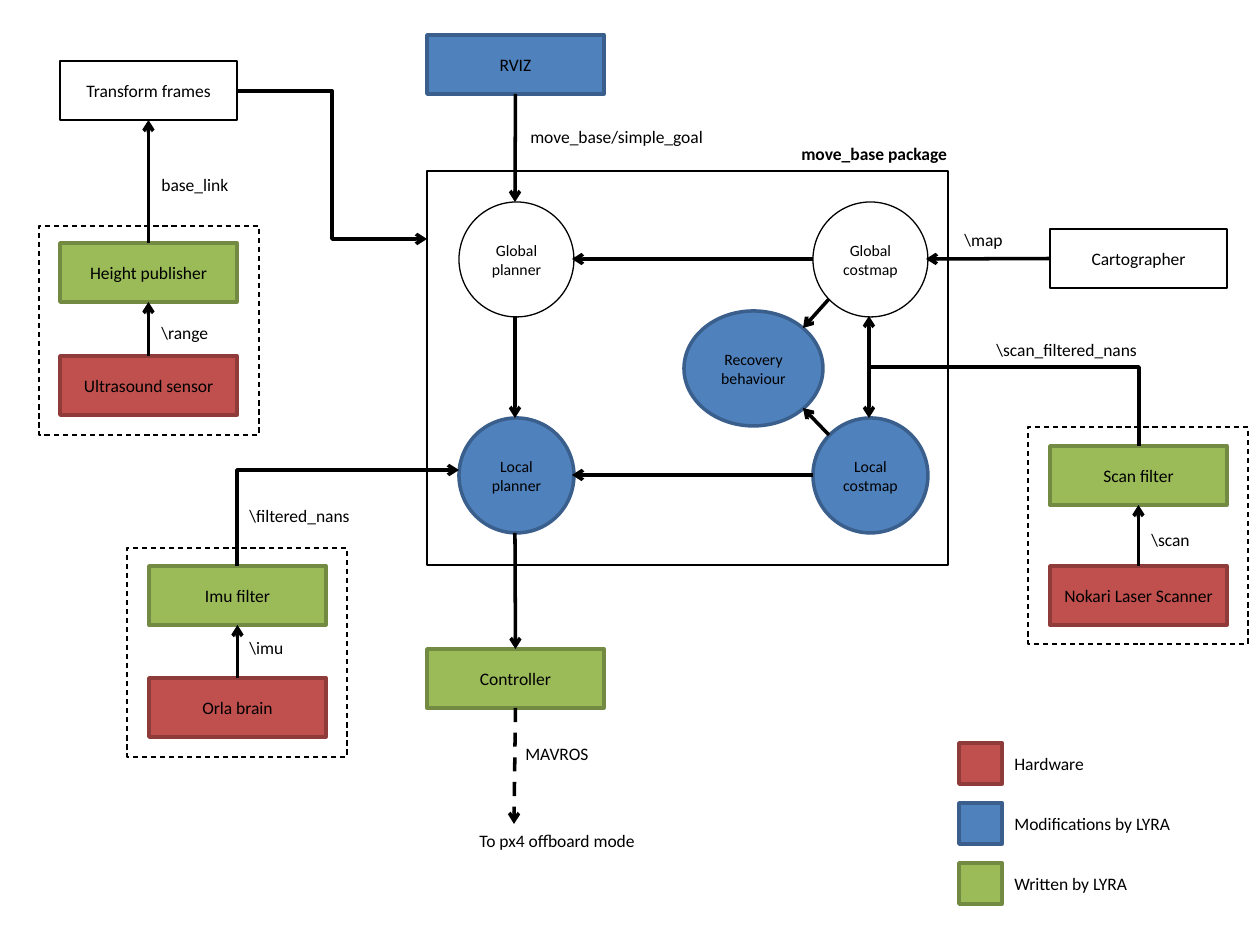
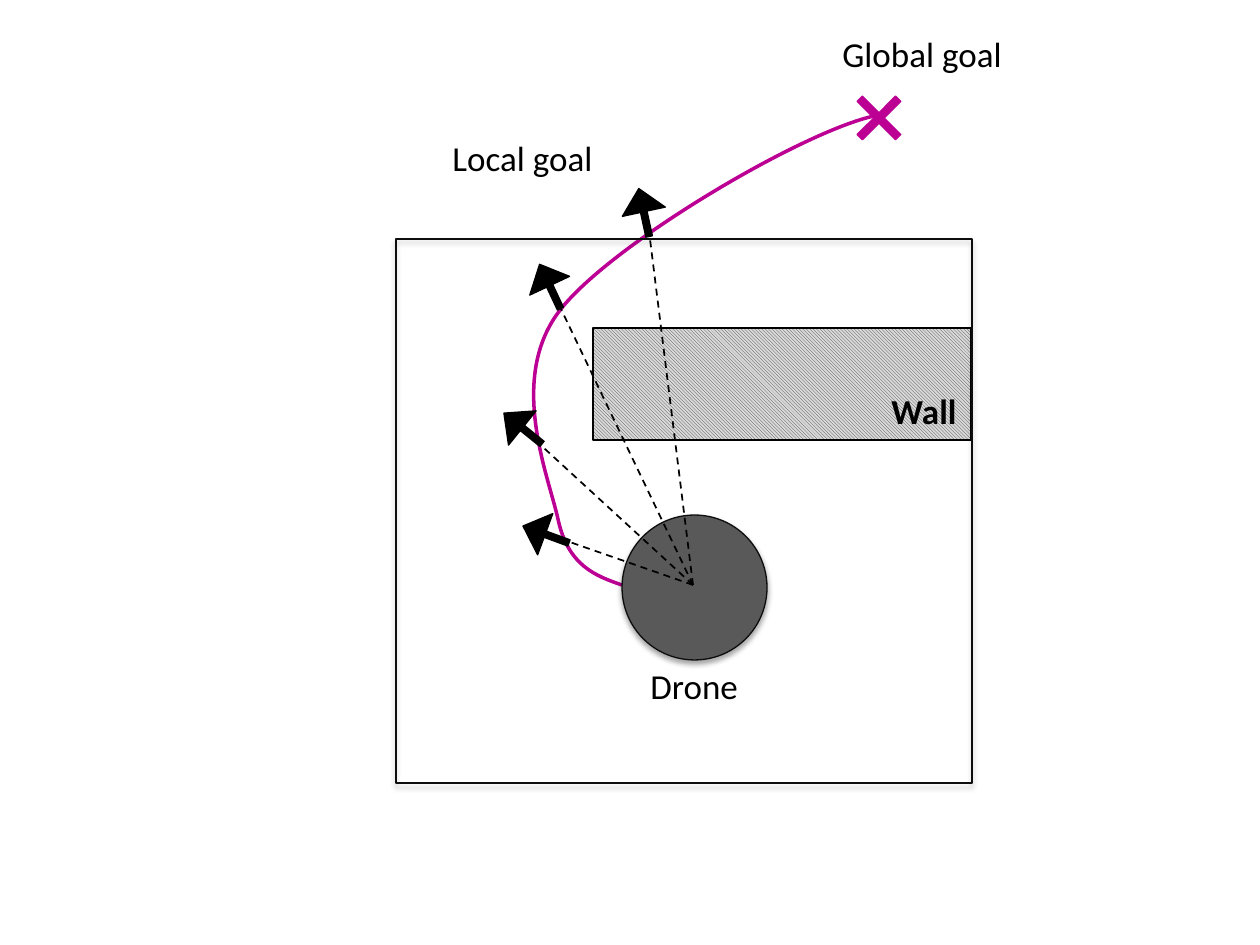
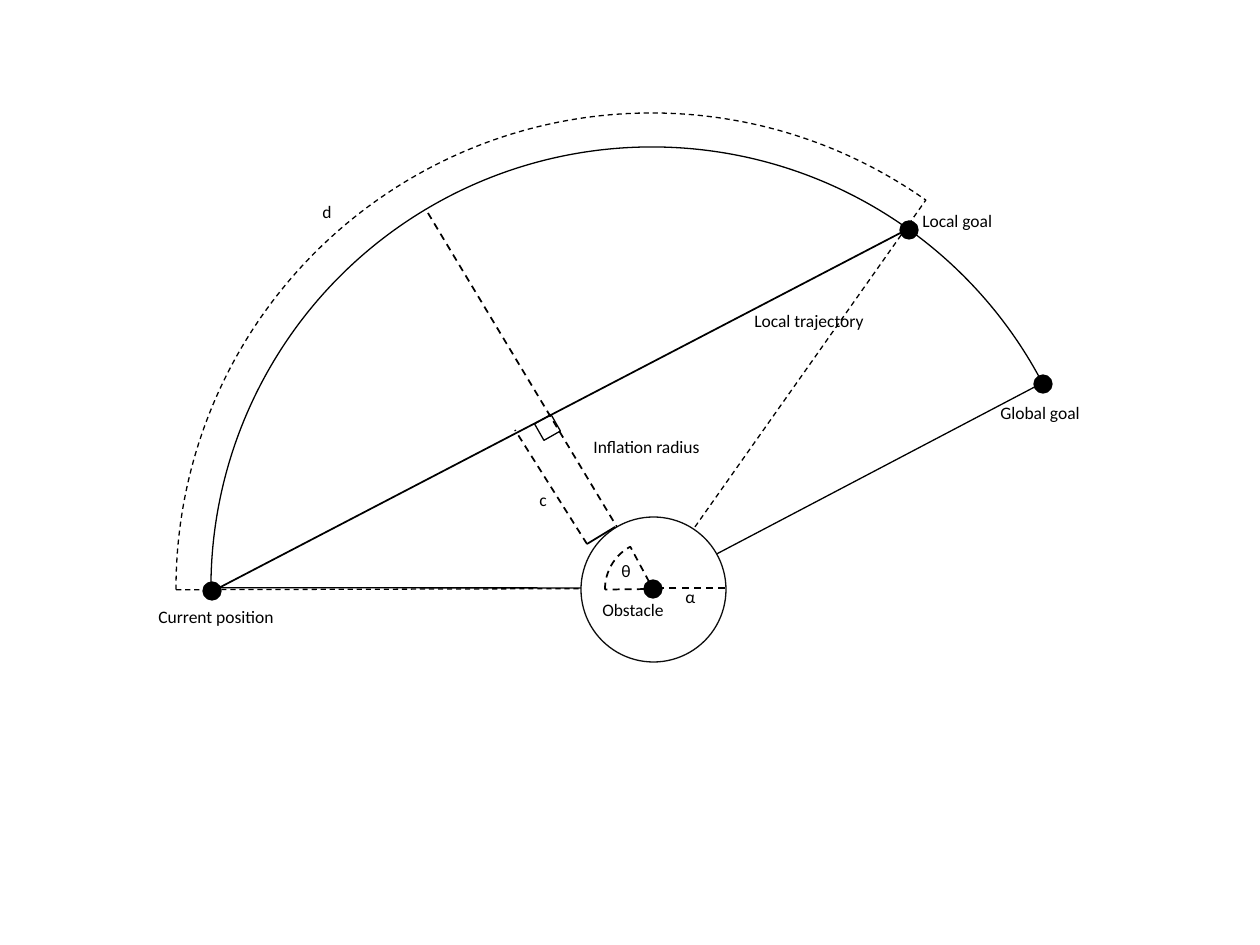
from lxml import etree
from pptx import Presentation
from pptx import util as u
from pptx.dml.color import RGBColor
from pptx.enum import dml, shapes, text
from pptx.oxml.ns import qn

PX = 914400 / 126
FONT = "Calibri"
COLOURS = {
    "black": "000000", "white": "FFFFFF", "outline": "0D0D0D", "path": "BB0093",
    "drone": "595959", "hatch": "404040", "wall": "D9D9D9",
    "hardware": "C0504D", "hardware edge": "8E3B39",
    "modified": "4F81BD", "modified edge": "3A5F8C",
    "written": "9BBB59", "written edge": "738A42",
}
RECTANGLE = shapes.MSO_SHAPE.RECTANGLE
OVAL = shapes.MSO_SHAPE.OVAL
PIE = shapes.MSO_SHAPE.PIE
TOP, LEFT, BOTTOM, RIGHT = range(4)

BOX_SIZE = (177, 59)
BOXES = [
    ("Transform frames", 60, 61, None),
    ("Height publisher", 60, 243, "written"),
    ("Ultrasound sensor", 60, 356, "hardware"),
    ("Imu filter", 149, 566, "written"),
    ("Orla brain", 149, 678, "hardware"),
    ("RVIZ", 427, 35, "modified"),
    ("Controller", 427, 649, "written"),
    ("Cartographer", 1050, 229, None),
    ("Scan filter", 1050, 446, "written"),
    ("Nokari Laser Scanner", 1050, 566, "hardware"),
]
PACKAGE = (427, 171, 521, 394)
NODES = [
    ("Global planner", (459, 202, 115, 115), None),
    ("Local\nplanner", (459, 418, 115, 115), "modified"),
    ("Global\ncostmap", (813, 202, 115, 115), None),
    ("Local\ncostmap", (813, 418, 115, 115), "modified"),
    ("Recovery\nbehaviour", (684, 311, 139, 115), "modified"),
]
SENSOR_GROUPS = [(39, 226, 220, 209), (127, 548, 220, 209), (1028, 427, 220, 217)]
ARROWS = [
    ((813, 475), (572, 475)),
    ((813, 259), (572, 259)),
    ((829, 299), (803, 328)),
    ((829, 435), (803, 408)),
    ((515, 316), (515, 418)),
    ((515, 533), ("Controller", TOP)),
    (("RVIZ", BOTTOM), (515, 202)),
    (("Cartographer", LEFT), (926, 259)),
    (("Ultrasound sensor", TOP), ("Height publisher", BOTTOM)),
    (("Height publisher", TOP), ("Transform frames", BOTTOM)),
    (("Orla brain", TOP), ("Imu filter", BOTTOM)),
    (("Nokari Laser Scanner", TOP), ("Scan filter", BOTTOM)),
]
TOPICS = [
    ("\\scan", 1139, 523, 64),
    ("\\scan_filtered_nans", 984, 333, 169),
    ("\\map", 952, 223, 64),
    ("move_base/simple_goal", 518, 120, 200),
    ("\\imu", 237, 631, 59),
    ("\\filtered_nans", 237, 499, 127),
    ("MAVROS", 513, 737, 91),
    ("To px4 offboard mode", 467, 824, 185),
    ("\\range", 149, 316, 73),
    ("base_link", 149, 168, 95),
]
LEGEND = [("Hardware", "hardware"), ("Modifications by LYRA", "modified"),
          ("Written by LYRA", "written")]

TRAJECTORY = [(622, 585), (596, 576), (568, 566), (558, 519), (548, 474), (507, 377),
              (561, 309), (614, 242), (810, 127), (879, 115)]
DRONE_CENTRE = (693, 585)
SIGHTS = [(533, 438), (561, 309), (650, 239), (561, 539)]
HEADINGS = [(622, 188, 347.8), (528, 262, 334.8), (501, 404, 308.9), (524, 510, 290.2)]
SCENE_LABELS = [("Drone", 638, 658, 115), ("Global goal", 830, 26, 186),
                ("Local goal", 440, 130, 168)]

SECTORS = [
    ((176, 113, 951, 951), (107.91, 183.14), 0.75, True),
    ((211, 147, 882, 882), (108.01, 199.38), 0.75, False),
    ((605, 541, 96, 96), (107.62, 145.06), 1, True),
]
OBSTACLE = (581, 517, 145, 145)
SEGMENTS = [
    ((213, 591), (908, 229), False),
    ((725, 588), (653, 588), True),
    ((587, 544), (515, 430), True),
    ((615, 527), (587, 544), False),
    ((428, 213), (617, 527), True),
]
DOTS = [(203, 582), (1034, 375), (644, 580), (900, 221)]
GEOMETRY_LABELS = [
    ("Inflation radius", 581, 430, 134),
    ("α", 673, 580, 35),
    ("c", 527, 483, 33),
    ("d", 310, 195, 35),
    ("Current position", 146, 600, 142),
    ("Global goal", 988, 396, 106),
    ("Obstacle", 590, 593, 88),
    ("θ", 609, 554, 35),
    ("Local trajectory", 742, 304, 137),
    ("Local goal", 910, 204, 96),
]


def emu(*lengths):
    return [u.Emu(round(length * PX)) for length in lengths]


def rgb(name):
    return RGBColor.from_string(COLOURS[name])


def style_line(line, colour="black", width=0.75, dashed=False):
    line.color.rgb = rgb(colour)
    line.width = u.Pt(width)
    if dashed:
        line.dash_style = dml.MSO_LINE.DASH


def write(frame, wording, size, bold=False, alignment=None):
    frame.text = wording
    for paragraph in frame.paragraphs:
        paragraph.alignment = alignment
        paragraph.font.name = FONT
        paragraph.font.size = u.Pt(size)
        paragraph.font.bold = bold
        paragraph.font.color.rgb = rgb("black")


def add_shape(slide, kind, bounds, fill=None, line="black", width=0.75, dashed=False,
              adjustments=(), rotation=0):
    shape = slide.shapes.add_shape(kind, *emu(*bounds))
    shape.shadow.inherit = False
    if fill:
        shape.fill.solid()
        shape.fill.fore_color.rgb = rgb(fill)
    else:
        shape.fill.background()
    style_line(shape.line, line, width, dashed)
    for index, value in enumerate(adjustments):
        shape.adjustments[index] = value
    shape.rotation = rotation
    return shape


def add_role_shape(slide, kind, bounds, role, wording="", size=10):
    look = {"fill": role, "line": role + " edge", "width": 2} if role else {}
    shape = add_shape(slide, kind, bounds, **look)
    if wording:
        write(shape.text_frame, wording, size, alignment=text.PP_ALIGN.CENTER)
    return shape


def add_label(slide, wording, x, y, width, size=10, bold=False, wrap=False):
    box = slide.shapes.add_textbox(*emu(x, y, width, 34 if size == 10 else 55))
    box.text_frame.word_wrap = wrap
    box.text_frame.auto_size = text.MSO_AUTO_SIZE.SHAPE_TO_FIT_TEXT
    write(box.text_frame, wording, size, bold)


def add_line(slide, begin, end, width=2, dashed=False, ends=(), boxes=None,
             kind=shapes.MSO_CONNECTOR.STRAIGHT):
    joined = [isinstance(place[0], str) for place in (begin, end)]
    start, finish = [(0, 0) if join else place for join, place in zip(joined, (begin, end))]
    connector = slide.shapes.add_connector(kind, *emu(*start, *finish))
    if joined[0]:
        connector.begin_connect(boxes[begin[0]], begin[1])
    if joined[1]:
        connector.end_connect(boxes[end[0]], end[1])
    style_line(connector.line, width=width, dashed=dashed)
    properties = connector.element.spPr
    outline = properties.find(qn("a:ln"))
    for name in ends:
        etree.SubElement(outline, qn("a:" + name), type="arrow")
    etree.SubElement(properties, qn("a:effectLst"))
    return connector


def add_corner(slide, begin, end, ends=()):
    connector = add_line(slide, begin, end, ends=ends, kind=shapes.MSO_CONNECTOR.ELBOW)
    connector.element.spPr.find(qn("a:prstGeom")).set("prst", "bentConnector2")


def add_soft_shadow(shape):
    effects = shape.element.spPr.find(qn("a:effectLst"))
    shadow = etree.SubElement(effects, qn("a:outerShdw"), blurRad=str(u.Pt(3.1)),
                              dist=str(u.Pt(1.8)), dir="5400000", rotWithShape="0")
    colour = etree.SubElement(shadow, qn("a:srgbClr"), val=COLOURS["black"])
    etree.SubElement(colour, qn("a:alpha"), val="35000")


def add_curve(slide, points):
    builder = slide.shapes.build_freeform(*points[0], scale=PX)
    builder.add_line_segments(points[1:], close=False)
    shape = builder.convert_to_shape()
    shape.shadow.inherit = False
    shape.fill.background()
    style_line(shape.line, "path", 2)
    outline = next(shape.element.iter(qn("a:path")))
    segments = outline.findall(qn("a:lnTo"))
    for first in range(0, len(segments), 3):
        curve = etree.SubElement(outline, qn("a:cubicBezTo"))
        for segment in segments[first:first + 3]:
            curve.append(segment[0])
            outline.remove(segment)


def build_architecture(slide):
    add_shape(slide, RECTANGLE, PACKAGE)
    for wording, bounds, role in NODES:
        add_role_shape(slide, OVAL, bounds, role, wording, 9)
    boxes = {}
    for wording, x, y, role in BOXES:
        boxes[wording] = add_role_shape(slide, RECTANGLE, (x, y, *BOX_SIZE), role, wording)
    for bounds in SENSOR_GROUPS:
        add_shape(slide, RECTANGLE, bounds, dashed=True)
    for begin, end in ARROWS:
        add_line(slide, begin, end, ends=["tailEnd"], boxes=boxes)
    add_line(slide, (869, 316), (869, 418), ends=["headEnd", "tailEnd"])
    add_line(slide, ("Controller", BOTTOM), (514, 824), dashed=True, ends=["tailEnd"],
             boxes=boxes)
    add_line(slide, (237, 91), (427, 239), ends=["tailEnd"], kind=shapes.MSO_CONNECTOR.ELBOW)
    add_corner(slide, (459, 470), (237, 566), ends=["headEnd"])
    add_corner(slide, (869, 367), (1139, 446))
    for topic in TOPICS:
        add_label(slide, *topic)
    add_label(slide, "move_base package", 789, 137, 174, bold=True)
    for row, (wording, role) in enumerate(LEGEND):
        y = 743 + 60 * row
        add_role_shape(slide, RECTANGLE, (959, y, 43, 41), role)
        add_label(slide, wording, 1002, y + 4, 193, wrap=True)


def build_local_goals(slide):
    add_curve(slide, TRAJECTORY)
    wall = add_shape(slide, RECTANGLE, (593, 328, 378, 112))
    wall.fill.patterned()
    wall.fill.pattern = dml.MSO_PATTERN.LIGHT_DOWNWARD_DIAGONAL
    wall.fill.fore_color.rgb = rgb("hatch")
    wall.fill.back_color.rgb = rgb("wall")
    add_soft_shadow(add_shape(slide, RECTANGLE, (396, 239, 576, 544), line="outline"))
    add_soft_shadow(add_shape(slide, OVAL, (622, 515, 145, 145), "drone", "outline"))
    add_shape(slide, shapes.MSO_SHAPE.MATH_MULTIPLY, (842, 81, 74, 74), "path", "path",
              adjustments=[0.1])
    for sight in SIGHTS:
        add_line(slide, DRONE_CENTRE, sight, 1, True)
    for x, y, angle in HEADINGS:
        add_shape(slide, shapes.MSO_SHAPE.UP_ARROW, (x, y, 44, 49), "black",
                  adjustments=[0.15, 0.54], rotation=angle)
    for label in SCENE_LABELS:
        add_label(slide, *label, size=20)
    add_label(slide, "Wall", 879, 383, 92, size=20, bold=True)


def build_geometry(slide):
    for bounds, angles, width, dashed in SECTORS[:2]:
        add_shape(slide, PIE, bounds, width=width, dashed=dashed, adjustments=angles)
    add_shape(slide, OVAL, OBSTACLE, "white", "outline")
    bounds, angles, width, dashed = SECTORS[2]
    add_shape(slide, PIE, bounds, width=width, dashed=dashed, adjustments=angles)
    for begin, end, dashed in SEGMENTS:
        add_line(slide, begin, end, 1, dashed)
    add_shape(slide, RECTANGLE, (538, 418, 19, 19), rotation=330.4)
    for x, y in DOTS:
        add_shape(slide, OVAL, (x, y, 18, 18), "black")
    for label in GEOMETRY_LABELS:
        add_label(slide, *label)


def main():
    presentation = Presentation()
    presentation.slide_width, presentation.slide_height = emu(1260, 945)
    for build in (build_architecture, build_local_goals, build_geometry):
        build(presentation.slides.add_slide(presentation.slide_layouts[6]))
    presentation.save("out.pptx")


if __name__ == "__main__":
    main()
